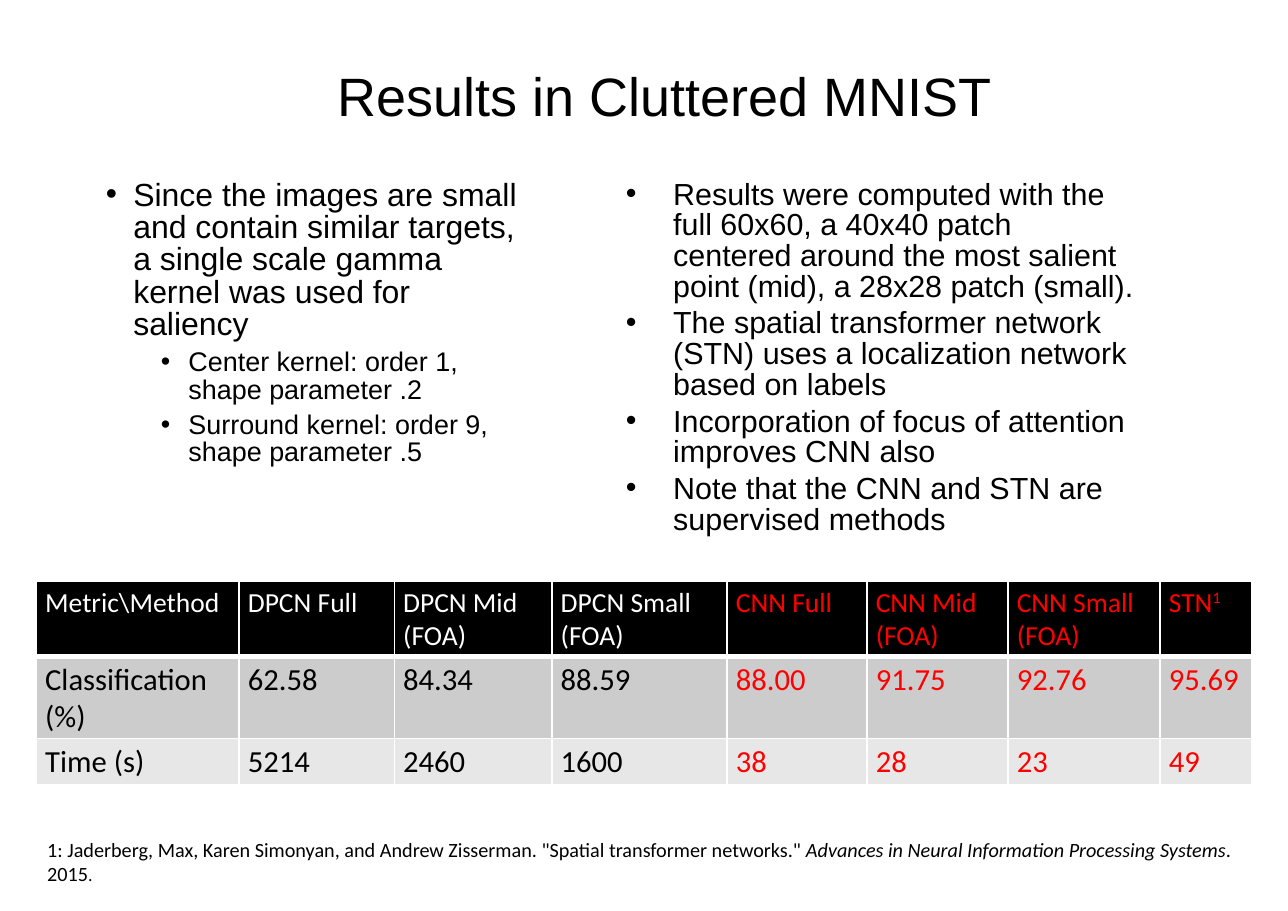
from dataclasses import dataclass

from lxml import etree
from pptx import Presentation
from pptx.dml.color import RGBColor
from pptx.enum.text import MSO_ANCHOR, PP_ALIGN
from pptx.oxml.ns import qn
from pptx.util import Inches, Pt

CENTER = PP_ALIGN.CENTER
TOP = MSO_ANCHOR.TOP


@dataclass(frozen=True)
class Theme:
    """Colours, fonts and type sizes of the slide."""

    black: str = "000000"
    white: str = "FFFFFF"
    red: str = "FF0000"
    row_fills: tuple = ("000000", "CCCCCC", "E7E7E7")
    text_font: str = "Arial"
    table_font: str = "Calibri"
    title: float = 35.3
    kernel_point: float = 20.9
    kernel_detail: float = 17.6
    finding: float = 19.9
    header: float = 18
    value: float = 20
    citation: float = 13.2
    citation_end: float = 11.6
    line_spacing: float = 0.84


THEME = Theme()

KERNEL_POINTS = [
    (0, "Since the images are small and contain similar targets, "
        "a single scale gamma kernel was used for saliency"),
    (1, "Center kernel: order 1, shape parameter .2"),
    (1, "Surround kernel: order 9, shape parameter .5"),
]
FINDINGS = [
    "Results were computed with the full 60x60, a 40x40 patch centered "
    "around the most salient point (mid), a 28x28 patch (small).",
    "The spatial transformer network (STN) uses a localization network based on labels",
    "Incorporation of focus of attention improves CNN also",
    "Note that the CNN and STN are supervised methods",
]
RESULTS = [
    ["Metric\\Method", "DPCN Full", "DPCN Mid (FOA)", "DPCN Small (FOA)",
     "CNN Full", "CNN Mid (FOA)", "CNN Small (FOA)", "STN"],
    ["Classification (%)", "62.58", "84.34", "88.59", "88.00", "91.75", "92.76", "95.69"],
    ["Time (s)", "5214", "2460", "1600", "38", "28", "23", "49"],
]
COLUMN_WIDTHS = [1.84, 1.41, 1.43, 1.59, 1.27, 1.28, 1.38, 0.83]
ROW_HEIGHTS = [0.67, 0.74, 0.41]
FIRST_SUPERVISED = 4


def style_run(run, size, font, color=THEME.black):
    """Set the size, typeface and colour of a run."""
    run.font.size = Pt(size)
    run.font.name = font
    run.font.color.rgb = RGBColor.from_string(color)


def add_text_frame(slide, left, top, width, height, inset_x=0.1, inset_y=0.05):
    """Add a wrapping text box and return its text frame."""
    box = slide.shapes.add_textbox(Inches(left), Inches(top), Inches(width), Inches(height))
    frame = box.text_frame
    frame.word_wrap = True
    frame.vertical_anchor = TOP
    frame.margin_left = frame.margin_right = Inches(inset_x)
    frame.margin_top = frame.margin_bottom = Inches(inset_y)
    return frame


def add_bullet(frame, text, size, indent, hanging, space_before, level=0):
    """Append a bulleted paragraph to a text frame."""
    is_first = not frame.text
    paragraph = frame.paragraphs[0] if is_first else frame.add_paragraph()
    paragraph.text = text
    paragraph.level = level
    properties = paragraph._p.get_or_add_pPr()
    properties.set("marL", str(Inches(indent)))
    properties.set("indent", str(-Inches(hanging)))
    etree.SubElement(properties, qn("a:buFont"), typeface=THEME.text_font)
    etree.SubElement(properties, qn("a:buChar"), char="•")
    paragraph.line_spacing = THEME.line_spacing
    paragraph.space_before = Pt(0 if is_first else space_before)
    style_run(paragraph.runs[0], size, THEME.text_font)


def add_title(slide):
    """Add the centred slide title."""
    paragraph = add_text_frame(slide, 1.07, 0.52, 9.93, 1.38).paragraphs[0]
    paragraph.text = "Results in Cluttered MNIST"
    paragraph.alignment = CENTER
    style_run(paragraph.runs[0], THEME.title, THEME.text_font)


def add_kernel_points(slide):
    """Add the left column about the saliency kernel."""
    frame = add_text_frame(slide, 0.88, 1.6, 3.95, 2.9, 0.08, 0.04)
    for level, text in KERNEL_POINTS:
        size = THEME.kernel_detail if level else THEME.kernel_point
        add_bullet(frame, text, size, 0.25 + 0.5 * level, 0.25, 5.5, level)


def add_findings(slide):
    """Add the right column about the results."""
    frame = add_text_frame(slide, 5.57, 1.58, 4.85, 3.38, 0.11, 0.06)
    for text in FINDINGS:
        add_bullet(frame, text, THEME.finding, 0.43, 0.43, 4)


def set_borders(cell, bottom_width):
    """Draw white borders around a table cell."""
    properties = cell._tc.get_or_add_tcPr()
    widths = {"a:lnL": 1, "a:lnR": 1, "a:lnT": 1, "a:lnB": bottom_width}
    for position, (side, width) in enumerate(widths.items()):
        line = etree.Element(qn(side), w=str(Pt(width)))
        fill = etree.SubElement(line, qn("a:solidFill"))
        etree.SubElement(fill, qn("a:srgbClr"), val=THEME.white)
        properties.insert(position, line)


def fill_cell(cell, text, row, column):
    """Write and format one cell of the results table."""
    is_header = row == 0
    cell.fill.solid()
    cell.fill.fore_color.rgb = RGBColor.from_string(THEME.row_fills[row])
    cell.margin_left = cell.margin_right = Inches(0.08)
    cell.margin_top = cell.margin_bottom = Inches(0.04)
    set_borders(cell, 3 if is_header else 1)
    paragraph = cell.text_frame.paragraphs[0]
    paragraph.text = text
    if text == "STN":
        footnote_mark = paragraph.add_run()
        footnote_mark.text = "1"
        footnote_mark.font._element.set("baseline", "30000")
    unsupervised_color = THEME.white if is_header else THEME.black
    color = THEME.red if column >= FIRST_SUPERVISED else unsupervised_color
    for run in paragraph.runs:
        style_run(run, THEME.header if is_header else THEME.value, THEME.table_font, color)


def add_results_table(slide):
    """Add the table that compares the methods."""
    table = slide.shapes.add_table(
        len(RESULTS), len(COLUMN_WIDTHS), Inches(0.33), Inches(5.28),
        Inches(sum(COLUMN_WIDTHS)), Inches(sum(ROW_HEIGHTS))).table
    for column, width in enumerate(COLUMN_WIDTHS):
        table.columns[column].width = Inches(width)
    for row, (height, values) in enumerate(zip(ROW_HEIGHTS, RESULTS)):
        table.rows[row].height = Inches(height)
        for column, text in enumerate(values):
            fill_cell(table.cell(row, column), text, row, column)


def add_citation(slide):
    """Add the reference below the table."""
    paragraph = add_text_frame(slide, 0.33, 7.55, 11.03, 0.55).paragraphs[0]
    parts = [
        ('1: Jaderberg, Max, Karen Simonyan, and Andrew Zisserman. '
         '"Spatial transformer networks." ', THEME.citation, False),
        ("Advances in Neural Information Processing Systems", THEME.citation, True),
        (". 2015", THEME.citation, False),
        (".", THEME.citation_end, False),
    ]
    for text, size, italic in parts:
        run = paragraph.add_run()
        run.text = text
        run.font.italic = italic
        style_run(run, size, THEME.table_font)


def main():
    """Build the slide and save it."""
    presentation = Presentation()
    presentation.slide_width = Inches(11.69)
    presentation.slide_height = Inches(8.27)
    slide = presentation.slides.add_slide(presentation.slide_layouts[6])
    add_findings(slide)
    add_results_table(slide)
    add_citation(slide)
    add_kernel_points(slide)
    add_title(slide)
    presentation.save("out.pptx")


if __name__ == "__main__":
    main()
